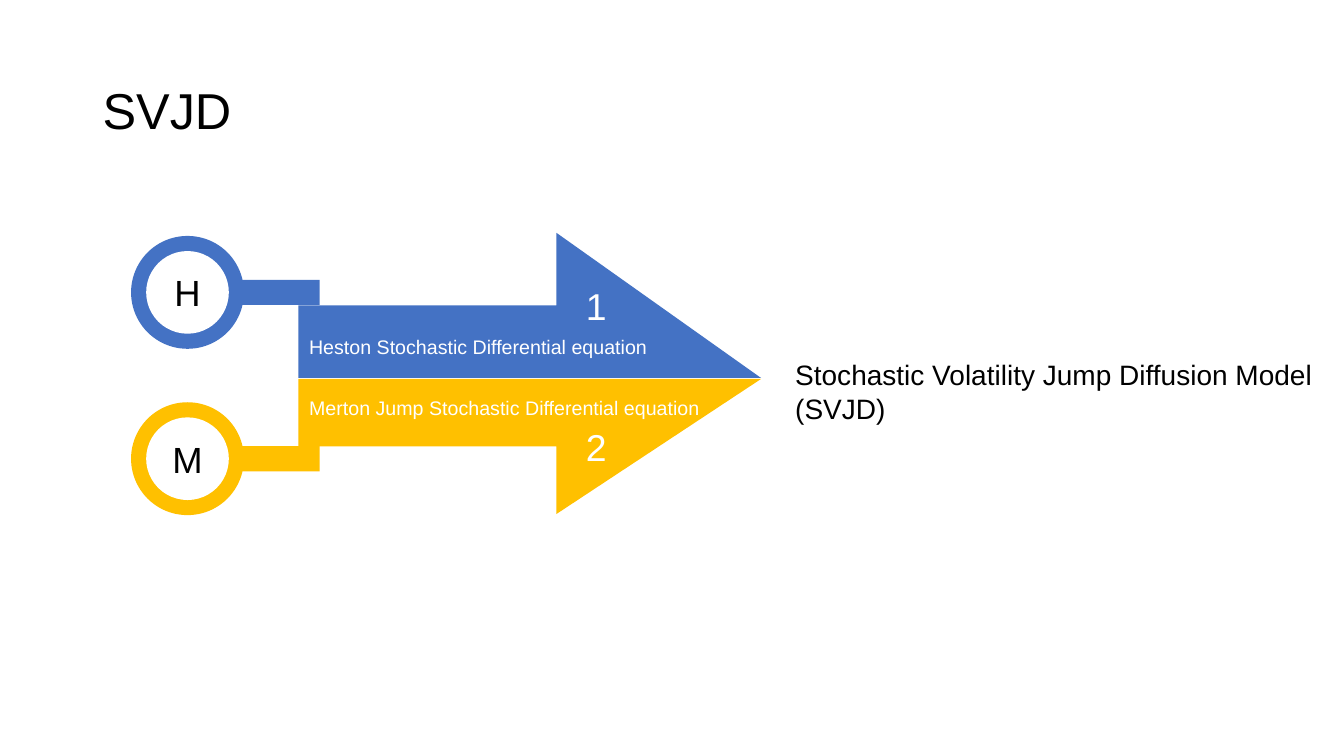
from pptx import Presentation
from pptx.dml.color import RGBColor
from pptx.enum.shapes import MSO_SHAPE
from pptx.enum.text import MSO_ANCHOR, PP_ALIGN
from pptx.util import Inches, Pt

BLUE = RGBColor(0x44, 0x72, 0xC4)
GOLD = RGBColor(0xFF, 0xC0, 0x00)
WHITE = RGBColor(0xFF, 0xFF, 0xFF)
BLACK = RGBColor(0, 0, 0)
COLS, ROWS = 133.33, 75


def grid(*cells):
    return [Inches(cell / 10) for cell in cells]


def write(shape, text, size, color=BLACK, align=PP_ALIGN.LEFT,
          anchor=MSO_ANCHOR.MIDDLE, wrap=False, space=1.0):
    frame = shape.text_frame
    frame.word_wrap = wrap
    frame.vertical_anchor = anchor
    line = frame.paragraphs[0]
    line.alignment = align
    line.line_spacing = space
    run = line.add_run()
    run.text = text
    run.font.name = "Arial"
    run.font.size = Pt(size)
    run.font.color.rgb = color


def label(slide, box, text, size, **style):
    write(slide.shapes.add_textbox(*grid(*box)), text, size, **style)


def paint(shape, color):
    shape.shadow.inherit = False
    shape.fill.solid()
    shape.fill.fore_color.rgb = color
    shape.line.fill.background()
    return shape


def block(slide, kind, mid, size, color):
    (x, y), (wide, high) = mid, size
    box = grid(x - wide / 2, y - high / 2, wide, high)
    return paint(slide.shapes.add_shape(kind, *box), color)


def half(slide, box, color, letter, number, text, wide, below=False):
    left, top, width, height = box
    right = left + width
    tail, head = left + 16.6, left + 42.2

    def level(share):
        return top + height * (1 - share if below else share)

    points = [(right, level(1)), (tail, level(1)), (tail, level(0.5)),
              (head, level(0.5)), (head, level(0))]
    start, *rest = [grid(*point) for point in points]
    path = slide.shapes.build_freeform(*start)
    path.add_line_segments(rest, close=True)
    paint(path.convert_to_shape(), color)

    axis = level(0.41)
    hub = left + 5.6, axis
    block(slide, MSO_SHAPE.RECTANGLE, (left + 14.45, axis), (8.5, 2.5), color)
    block(slide, MSO_SHAPE.OVAL, hub, (11.2, 11.2), color)
    disc = block(slide, MSO_SHAPE.OVAL, hub, (8.2, 8.2), WHITE)
    write(disc, letter, 26, align=PP_ALIGN.CENTER)

    style = {"color": WHITE, "align": PP_ALIGN.CENTER}
    label(slide, (head + 1.9, level(0.5) - 2.75, 4.1, 5.5), number, 26.7, **style)
    label(slide, (tail, level(0.785) - 1.7, wide, 3.4), text, 14, **style)


def build():
    deck = Presentation()
    deck.slide_width, deck.slide_height = grid(COLS, ROWS)
    slide = deck.slides.add_slide(deck.slide_layouts[6])
    label(slide, (9.2, 4, 115, 14.5), "SVJD", 36, wrap=True, space=0.9)
    half(slide, (13, 23.1, 62.5, 14.4), BLUE, "H", "1",
         "Heston Stochastic Differential equation", 35.7)
    half(slide, (13, 37.6, 62.5, 13.4), GOLD, "M", "2",
         "Merton Jump Stochastic Differential equation", 40.9, below=True)
    label(slide, (77.9, 35, 54.5, 7.7),
          "Stochastic Volatility Jump Diffusion Model (SVJD)", 20,
          anchor=MSO_ANCHOR.TOP, wrap=True)
    deck.save("out.pptx")


if __name__ == "__main__":
    build()
